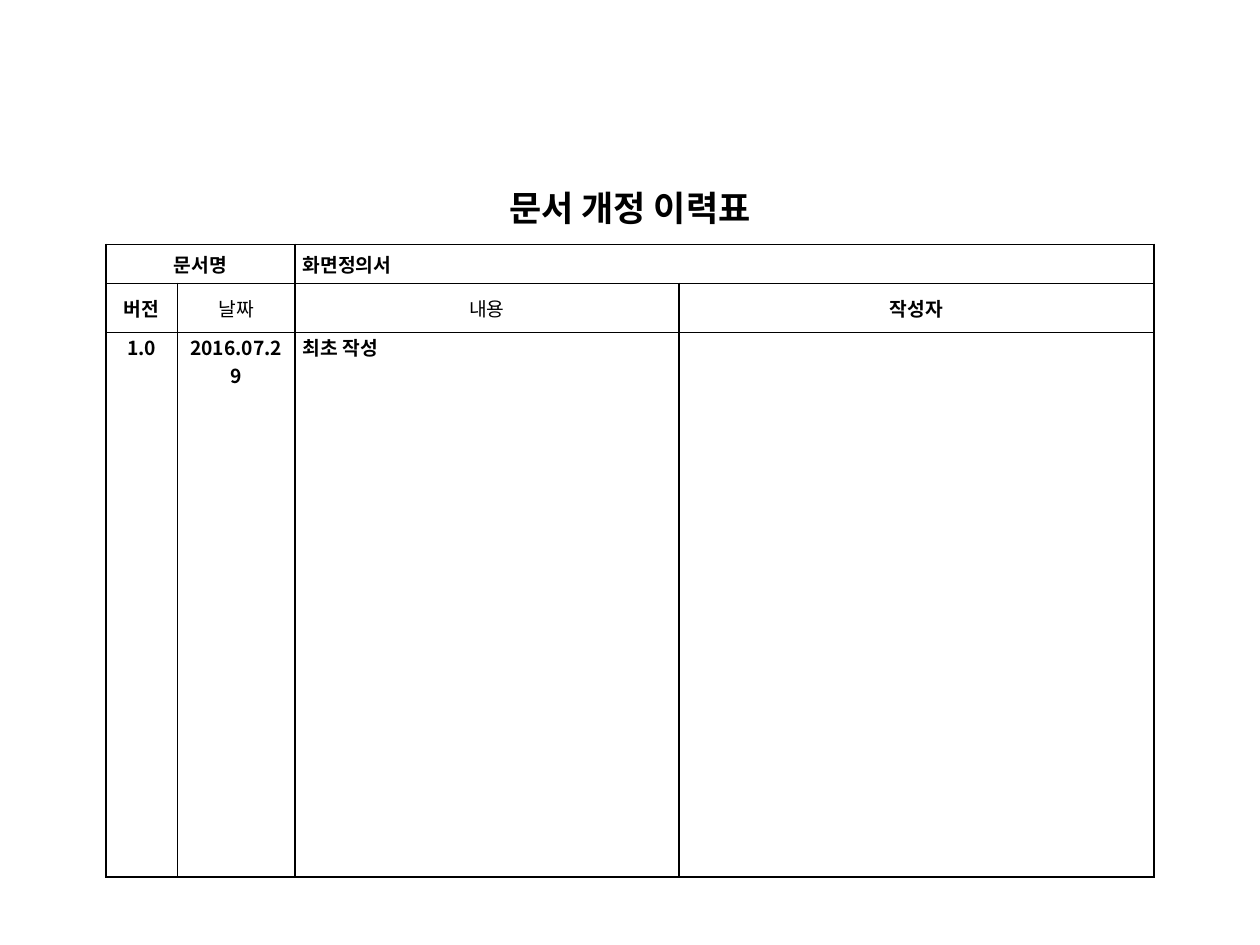
from dataclasses import dataclass

from lxml import etree
from pptx import Presentation
from pptx import util as u
from pptx.dml.color import RGBColor
from pptx.enum import text
from pptx.oxml import ns

COLORS = {"ink": "000000", "paper": "FFFFFF"}
FONT = "Noto Sans CJK KR"
COLUMN_WIDTHS = (41, 67, 219.6, 271.4)
ROW_HEIGHTS = (73.4, 22.4, 28.1, 311)
LEFT, TOP = 60.5, 66.2
CENTER, JUSTIFY = text.PP_ALIGN.CENTER, text.PP_ALIGN.JUSTIFY
MIDDLE, TOP_ANCHOR = text.MSO_ANCHOR.MIDDLE, text.MSO_ANCHOR.TOP


@dataclass
class Entry:
    row: int
    column: int
    words: str
    span: int = 1
    size: float = 11
    bold: bool = True
    align: text.PP_ALIGN = CENTER
    anchor: text.MSO_ANCHOR = MIDDLE
    bottom: float = 0


ENTRIES = (
    Entry(0, 0, "문서 개정 이력표", span=4, size=20,
          anchor=text.MSO_ANCHOR.BOTTOM, bottom=7),
    Entry(1, 0, "문서명", span=2),
    Entry(1, 2, "화면정의서", span=2, align=JUSTIFY),
    Entry(2, 0, "버전"),
    Entry(2, 1, "날짜", bold=False),
    Entry(2, 2, "내용", bold=False),
    Entry(2, 3, "작성자"),
    Entry(3, 0, "1.0", anchor=TOP_ANCHOR),
    Entry(3, 1, "2016.07.29", anchor=TOP_ANCHOR),
    Entry(3, 2, "최초 작성", align=JUSTIFY, anchor=TOP_ANCHOR),
)


def set_borders(cell, colors: dict[str, str]) -> None:
    """Give each side of a cell a one-point line."""
    properties = cell._tc.get_or_add_tcPr()
    for index, (side, color) in enumerate(colors.items()):
        line = etree.Element(ns.qn(f"a:ln{side}"), w=str(u.Pt(1)))
        fill = etree.SubElement(line, ns.qn("a:solidFill"))
        etree.SubElement(fill, ns.qn("a:srgbClr"), val=color)
        properties.insert(index, line)


def write_text(paragraph, words: str, *, size: float, bold: bool,
               align: text.PP_ALIGN) -> None:
    paragraph.alignment = align
    run = paragraph.add_run()
    run.text = words
    run.font.name = FONT
    run.font.size = u.Pt(size)
    run.font.bold = bold
    run.font.color.rgb = RGBColor.from_string(COLORS["ink"])
    run.font._element.find(ns.qn("a:latin")).addnext(
        etree.Element(ns.qn("a:ea"), typeface=FONT))


def fill_entry(table, entry: Entry) -> None:
    cell = table.cell(entry.row, entry.column)
    if entry.span > 1:
        cell.merge(table.cell(entry.row, entry.column + entry.span - 1))
    cell.vertical_anchor = entry.anchor
    cell.margin_bottom = u.Pt(entry.bottom)
    write_text(cell.text_frame.paragraphs[0], entry.words, size=entry.size,
               bold=entry.bold, align=entry.align)


presentation = Presentation()
presentation.slide_width, presentation.slide_height = u.Pt(720), u.Pt(540)
# The heading is the first table row, so the slide needs no title placeholder
slide = presentation.slides.add_slide(presentation.slide_layouts[6])

# Table grid
table = slide.shapes.add_table(
    len(ROW_HEIGHTS), len(COLUMN_WIDTHS), u.Pt(LEFT), u.Pt(TOP),
    u.Pt(sum(COLUMN_WIDTHS)), u.Pt(sum(ROW_HEIGHTS))).table
table.first_row = table.horz_banding = False
for column, width in zip(table.columns, COLUMN_WIDTHS):
    column.width = u.Pt(width)

# Cell margins, fills and borders; the heading row shows only its lower line
for row_index, (row, height) in enumerate(zip(table.rows, ROW_HEIGHTS)):
    row.height = u.Pt(height)
    edge = COLORS["paper" if row_index == 0 else "ink"]
    for cell in row.cells:
        cell.margin_left = cell.margin_right = u.Pt(4.5)
        cell.margin_top = cell.margin_bottom = 0
        cell.fill.background()
        set_borders(cell, {"L": edge, "R": edge, "T": edge, "B": COLORS["ink"]})

# Wording
for entry in ENTRIES:
    fill_entry(table, entry)

presentation.save("out.pptx")
